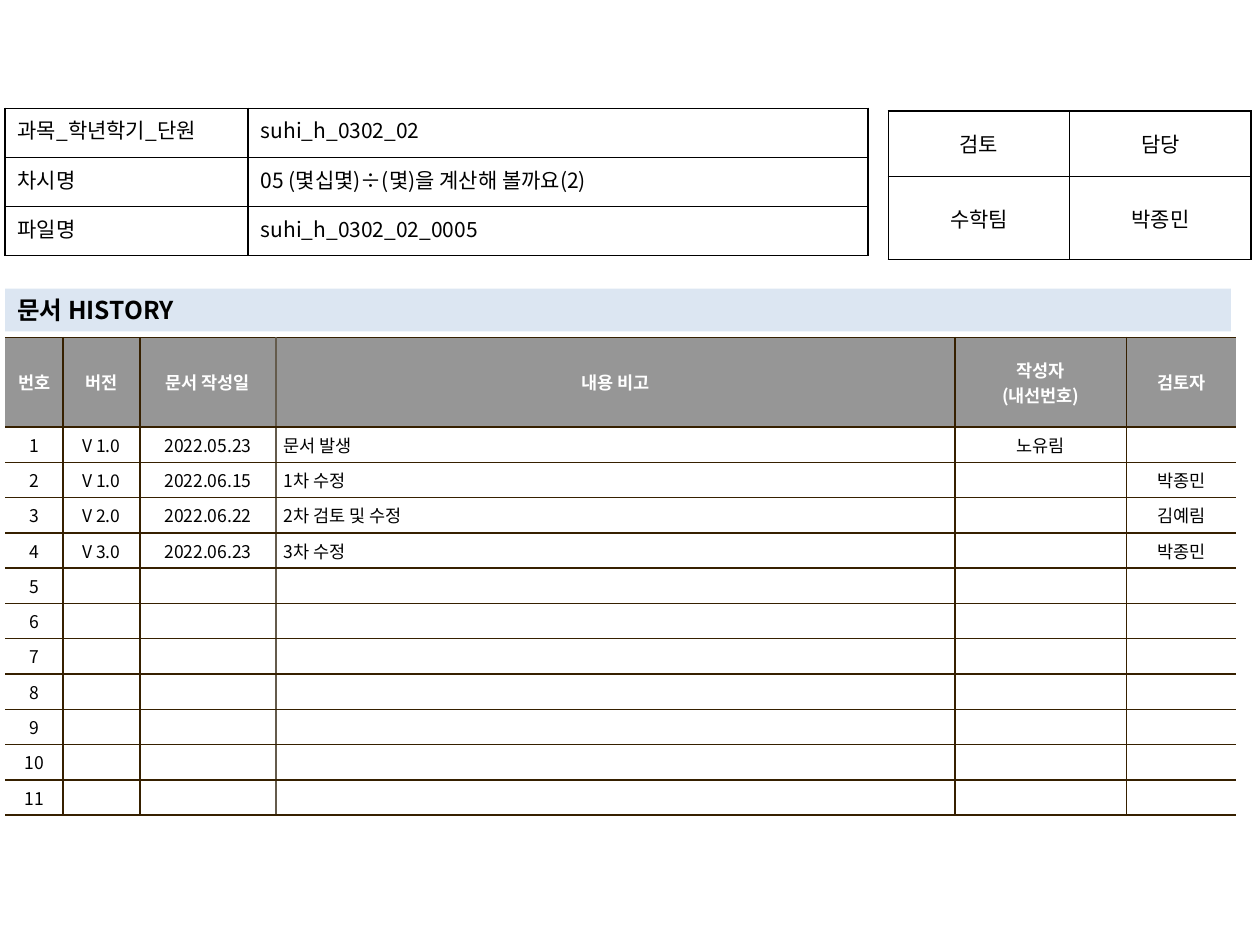
import pptx
import pptx.dml.color
import pptx.enum.shapes
import pptx.enum.text
import pptx.oxml.ns
import pptx.util
from lxml import etree

Inches = pptx.util.Inches
Pt = pptx.util.Pt
ALIGN = pptx.enum.text.PP_ALIGN
ANCHOR = pptx.enum.text.MSO_ANCHOR
qn = pptx.oxml.ns.qn


def color(value):
    return pptx.dml.color.RGBColor.from_string(value)


class SlideBuilder:
    font_name = "Noto Sans CJK KR"
    ink = "000000"

    def __init__(self, slide):
        self.slide = slide

    def add_text(self, frame, text, size, ink=ink, bold=False, align=ALIGN.LEFT):
        for number, line in enumerate(text.split("\n")):
            paragraph = frame.add_paragraph() if number else frame.paragraphs[0]
            paragraph.alignment = align
            if not line:
                # An empty cell keeps the text size so its row stays low
                end = etree.SubElement(paragraph._p, qn("a:endParaRPr"))
                end.set("sz", str(size * 100))
                continue
            run = paragraph.add_run()
            run.text = line
            run.font.size = Pt(size)
            run.font.bold = bold
            run.font.color.rgb = color(ink)
            run.font.name = self.font_name
            east_asian = etree.SubElement(run._r.get_or_add_rPr(), qn("a:ea"))
            east_asian.set("typeface", self.font_name)

    def border(self, cell, sides):
        """sides: colours for left, right, top, bottom; None leaves a side open."""
        properties = cell._tc.get_or_add_tcPr()
        for side, value in zip("LRTB", sides):
            line = etree.SubElement(properties, qn(f"a:ln{side}"), w=str(Pt(1)))
            if value is None:
                etree.SubElement(line, qn("a:noFill"))
            else:
                fill = etree.SubElement(line, qn("a:solidFill"))
                etree.SubElement(fill, qn("a:srgbClr"), val=value)

    def table(self, left, top, widths, heights, texts, style):
        """style(row, column) gives a cell's text options, fill, sides, anchor, margins."""
        table = self.slide.shapes.add_table(
            len(heights), len(widths), Inches(left), Inches(top),
            Inches(sum(widths)), Inches(sum(heights))).table
        table.first_row = table.horz_banding = False
        for column, width in zip(table.columns, widths):
            column.width = Inches(width)
        for r, height in enumerate(heights):
            table.rows[r].height = Inches(height)
            for c, text in enumerate(texts[r]):
                cell = table.cell(r, c)
                options, fill, sides, anchor, (margin_x, margin_y) = style(r, c)
                cell.vertical_anchor = anchor
                cell.margin_left = cell.margin_right = Inches(margin_x)
                cell.margin_top = cell.margin_bottom = Inches(margin_y)
                self.border(cell, sides)
                if fill:
                    cell.fill.solid()
                    cell.fill.fore_color.rgb = color(fill)
                else:
                    cell.fill.background()
                self.add_text(cell.text_frame, text, **options)

    def bar(self, left, top, width, height, fill, text, size):
        bar = self.slide.shapes.add_shape(
            pptx.enum.shapes.MSO_SHAPE.RECTANGLE,
            Inches(left), Inches(top), Inches(width), Inches(height))
        bar.shadow.inherit = False
        bar.fill.solid()
        bar.fill.fore_color.rgb = color(fill)
        bar.line.fill.background()
        bar.text_frame.word_wrap = True
        bar.text_frame.vertical_anchor = ANCHOR.MIDDLE
        self.add_text(bar.text_frame, text, size, bold=True)


HISTORY_HEAD = ["번호", "버전", "문서 작성일", "내용 비고", "작성자\n(내선번호)", "검토자"]
HISTORY_ENTRIES = [
    ["V 1.0", "2022.05.23", "문서 발생", "노유림", ""],
    ["V 1.0", "2022.06.15", "1차 수정", "", "박종민"],
    ["V 2.0", "2022.06.22", "2차 검토 및 수정", "", "김예림"],
    ["V 3.0", "2022.06.23", "3차 수정", "", "박종민"],
]
HISTORY_ROWS = 11
NOTE_COLUMN = 3
BROWN, TAUPE = "362000", "645B4C"
# Vertical rules from left to right; the outer sides stay open
HISTORY_RULES = [None, BROWN, BROWN, TAUPE, BROWN, BROWN, None]


def history_style(row, column):
    head = row == 0
    note = column == NOTE_COLUMN and not head
    options = dict(size=10, bold=head, ink="FFFFFF" if head else "000000",
                   align=ALIGN.LEFT if note else ALIGN.CENTER)
    sides = (HISTORY_RULES[column], HISTORY_RULES[column + 1], BROWN, BROWN)
    return options, "969696" if head else "FFFFFF", sides, ANCHOR.MIDDLE, (0.06, 0.04)


def approval_style(row, column):
    return (dict(size=12, align=ALIGN.CENTER), None, ["000000"] * 4,
            ANCHOR.MIDDLE, (0.1, 0.05))


def lesson_style(row, column):
    align = ALIGN.LEFT if column else ALIGN.JUSTIFY
    return dict(size=12, align=align), None, ["000000"] * 4, ANCHOR.TOP, (0.1, 0.05)


def main():
    deck = pptx.Presentation()
    deck.slide_width, deck.slide_height = Inches(10), Inches(7.5)
    page = SlideBuilder(deck.slides.add_slide(deck.slide_layouts[6]))

    # Revision history
    entries = HISTORY_ENTRIES + [[""] * 5] * (HISTORY_ROWS - len(HISTORY_ENTRIES))
    history = [HISTORY_HEAD] + [[str(n), *entry] for n, entry in enumerate(entries, 1)]
    page.table(0.04, 2.68, [0.46, 0.61, 1.08, 5.39, 1.36, 0.87],
               [0.71] + [0.25] * HISTORY_ROWS, history, history_style)

    # Review and owner
    page.table(7.05, 0.88, [1.44] * 2, [0.52, 0.66],
               [["검토", "담당"], ["수학팀", "박종민"]], approval_style)

    # History heading
    page.bar(0.04, 2.29, 9.73, 0.34, "DCE6F2", "문서 HISTORY", 14)

    # Lesson details
    page.table(0.04, 0.86, [1.93, 4.92], [0.39] * 3, [
        ["과목_학년학기_단원", "suhi_h_0302_02"],
        ["차시명", "05 (몇십몇)÷(몇)을 계산해 볼까요(2)"],
        ["파일명", "suhi_h_0302_02_0005"],
    ], lesson_style)

    deck.save("out.pptx")


if __name__ == "__main__":
    main()
